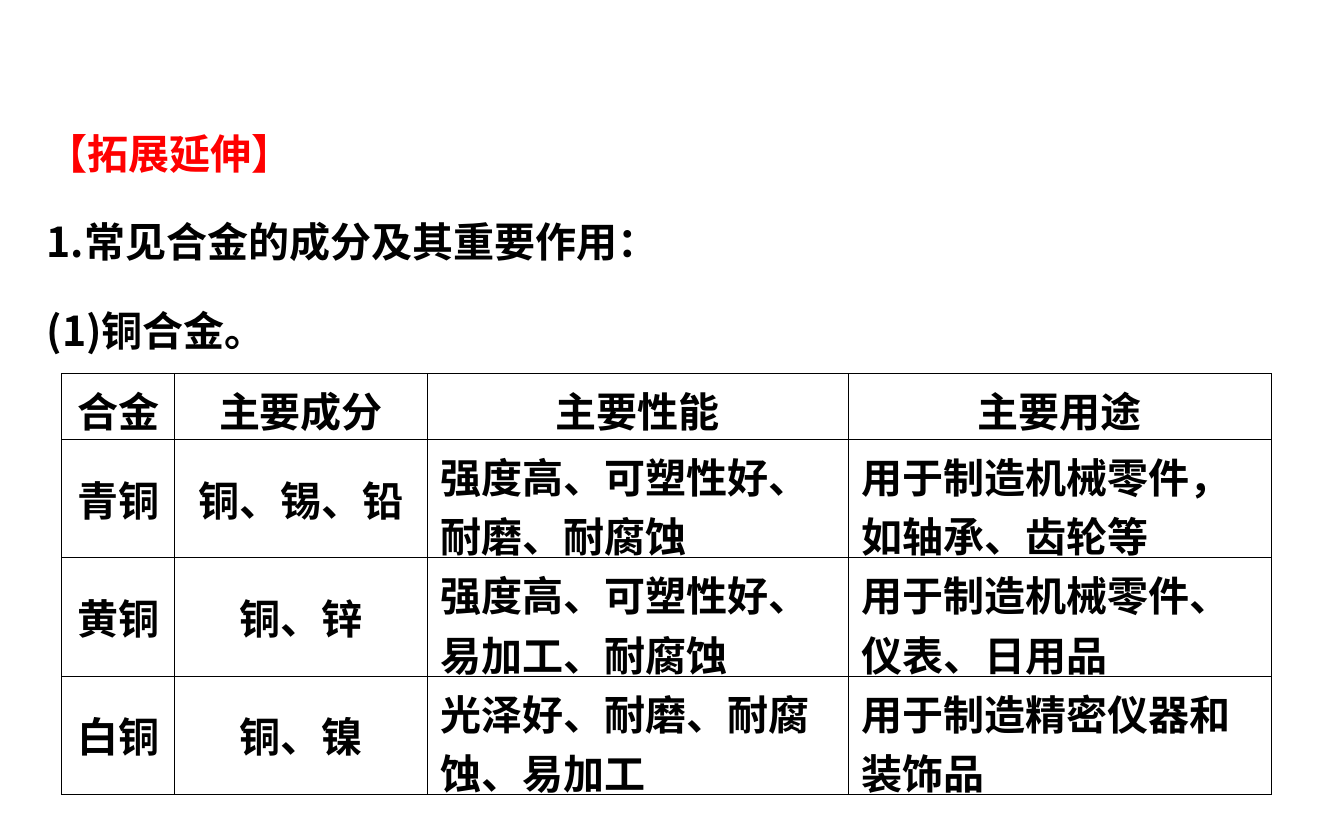
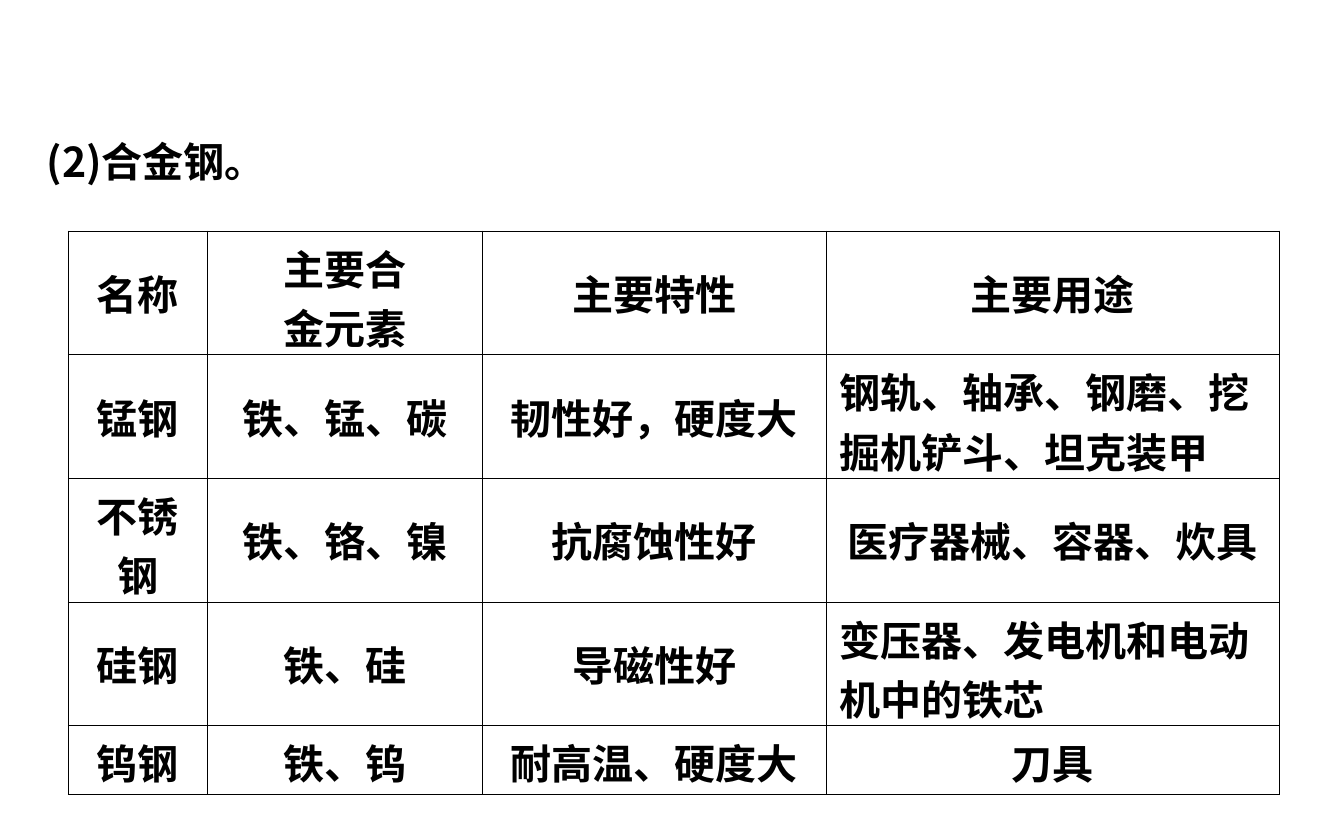
from lxml.etree import SubElement
from pptx import Presentation
from pptx.dml.color import RGBColor
from pptx.enum.text import MSO_ANCHOR, MSO_AUTO_SIZE, PP_ALIGN
from pptx.oxml.ns import qn
from pptx.util import Inches, Pt

# Shared style
BLACK = RGBColor(0, 0, 0)
RED = RGBColor(255, 0, 0)
FACE = "Noto Sans CJK SC"
FONT = {"name": FACE, "size": Pt(22), "bold": True}
BOX = {"word_wrap": True, "auto_size": MSO_AUTO_SIZE.SHAPE_TO_FIT_TEXT}
PLAIN = {"first_row": False, "horz_banding": False}
INNER, OUTER = Pt(0.45), Pt(0.75)
SHORT = 10  # longer cell texts are set left instead of centred

# Content
COPPER = [
    ["合金", "主要成分", "主要性能", "主要用途"],
    ["青铜", "铜、锡、铅", "强度高、可塑性好、耐磨、耐腐蚀",
     "用于制造机械零件，如轴承、齿轮等"],
    ["黄铜", "铜、锌", "强度高、可塑性好、易加工、耐腐蚀",
     "用于制造机械零件、仪表、日用品"],
    ["白铜", "铜、镍", "光泽好、耐磨、耐腐蚀、易加工",
     "用于制造精密仪器和装饰品"],
]
STEEL = [
    ["名称", "主要合\n金元素", "主要特性", "主要用途"],
    ["锰钢", "铁、锰、碳", "韧性好，硬度大",
     "钢轨、轴承、钢磨、挖掘机铲斗、坦克装甲"],
    ["不锈钢", "铁、铬、镍", "抗腐蚀性好", "医疗器械、容器、炊具"],
    ["硅钢", "铁、硅", "导磁性好", "变压器、发电机和电动机中的铁芯"],
    ["钨钢", "铁、钨", "耐高温、硬度大", "刀具"],
]


def apply(item, values):
    for key, value in values.items():
        setattr(item, key, value)


def write(frame, lines, layout):
    """Fill a text frame with (text, colour) lines, one paragraph each."""
    for i, (text, color) in enumerate(lines):
        para = frame.add_paragraph() if i else frame.paragraphs[0]
        apply(para, layout)
        run = para.add_run()
        run.text = text
        apply(run.font, FONT)
        run.font.color.rgb = color
        SubElement(run._r.get_or_add_rPr(), qn("a:ea"), typeface=FACE)


def add_text(slide, top, height, lines):
    box = slide.shapes.add_textbox(
        Inches(0.25), Inches(top), Inches(9.43), Inches(height))
    apply(box.text_frame, BOX)
    write(box.text_frame, lines, {"line_spacing": 1.8})


def add_edges(cell, outer):
    """Draw the four borders; sides named in outer are heavier."""
    props = cell._tc.get_or_add_tcPr()
    for side in "LRTB":
        width = OUTER if side in outer else INNER
        line = SubElement(props, qn("a:ln" + side), w=str(int(width)))
        fill = SubElement(line, qn("a:solidFill"))
        SubElement(fill, qn("a:srgbClr"), val=str(BLACK))


def add_grid(slide, left, top, widths, heights, data):
    table = slide.shapes.add_table(
        len(heights), len(widths), Inches(left), Inches(top),
        Inches(sum(widths)), Inches(sum(heights))).table
    apply(table, PLAIN)
    for col, width in zip(table.columns, widths):
        col.width = Inches(width)
    for row, height in zip(table.rows, heights):
        row.height = Inches(height)
    for r, texts in enumerate(data):
        for c, text in enumerate(texts):
            cell = table.cell(r, c)
            ends = {"L": c == 0, "R": c == len(widths) - 1,
                    "T": r == 0, "B": r == len(heights) - 1}
            add_edges(cell, [side for side, end in ends.items() if end])
            cell.fill.background()
            cell.vertical_anchor = MSO_ANCHOR.MIDDLE
            align = PP_ALIGN.LEFT if len(text) > SHORT else PP_ALIGN.CENTER
            lines = [(part, BLACK) for part in text.split("\n")]
            write(cell.text_frame, lines, {"alignment": align})


def main():
    deck = Presentation()
    apply(deck, {"slide_width": Inches(10), "slide_height": Inches(6.25)})
    blank = deck.slide_layouts[6]

    # Copper alloys
    slide = deck.slides.add_slide(blank)
    add_text(slide, 0.61, 2.08, [
        ("【拓展延伸】", RED),
        ("1.常见合金的成分及其重要作用：", BLACK),
        ("(1)铜合金。", BLACK),
    ])
    add_grid(slide, 0.46, 2.78, [0.84, 1.88, 3.13, 3.15],
             [0.49] + [0.88] * 3, COPPER)

    # Alloy steels
    slide = deck.slides.add_slide(blank)
    add_text(slide, 0.67, 0.76, [("(2)合金钢。", BLACK)])
    add_grid(slide, 0.51, 1.72, [1.03, 2.05, 2.56, 3.37],
             [0.92] * 4 + [0.51], STEEL)

    deck.save("out.pptx")


if __name__ == "__main__":
    main()
